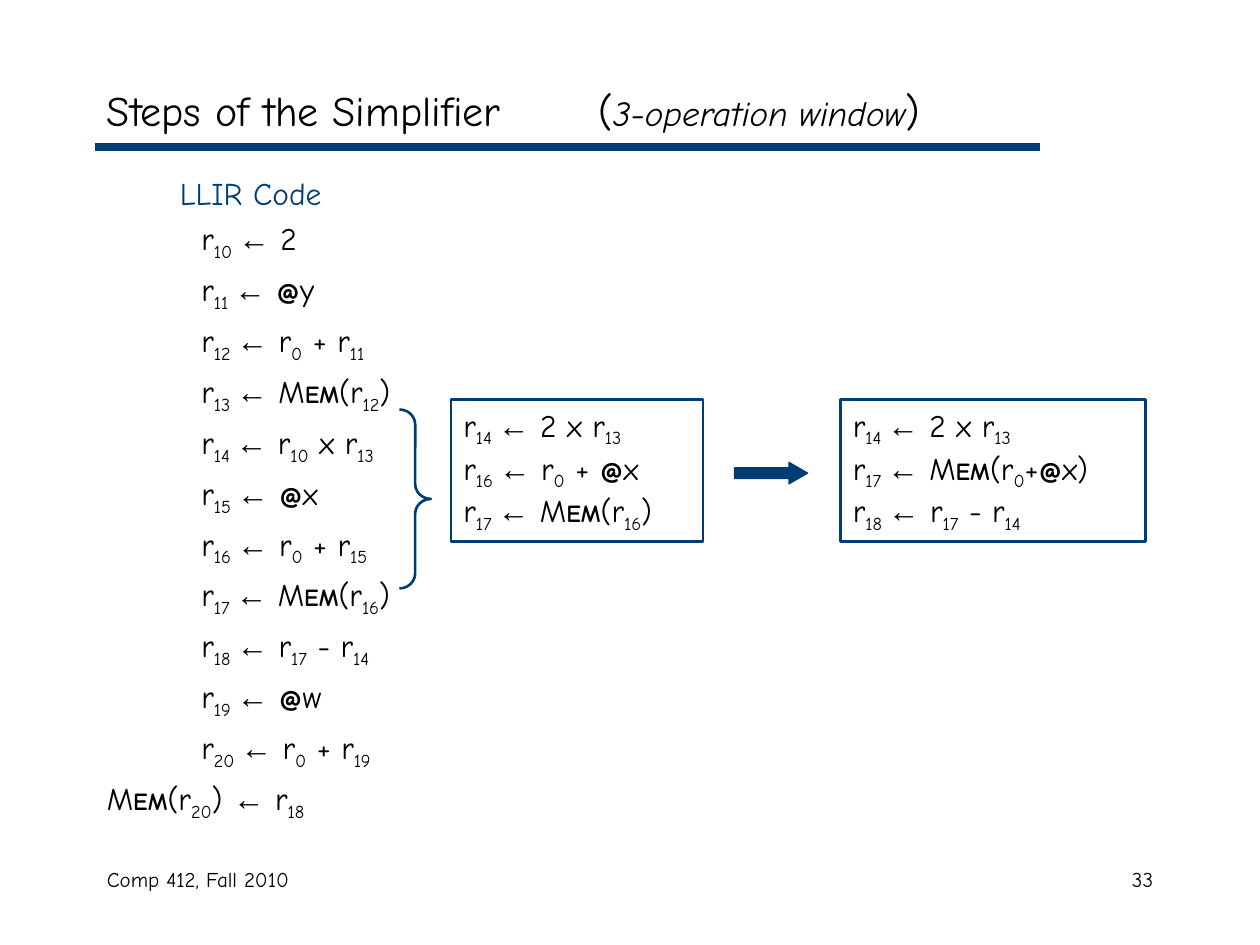
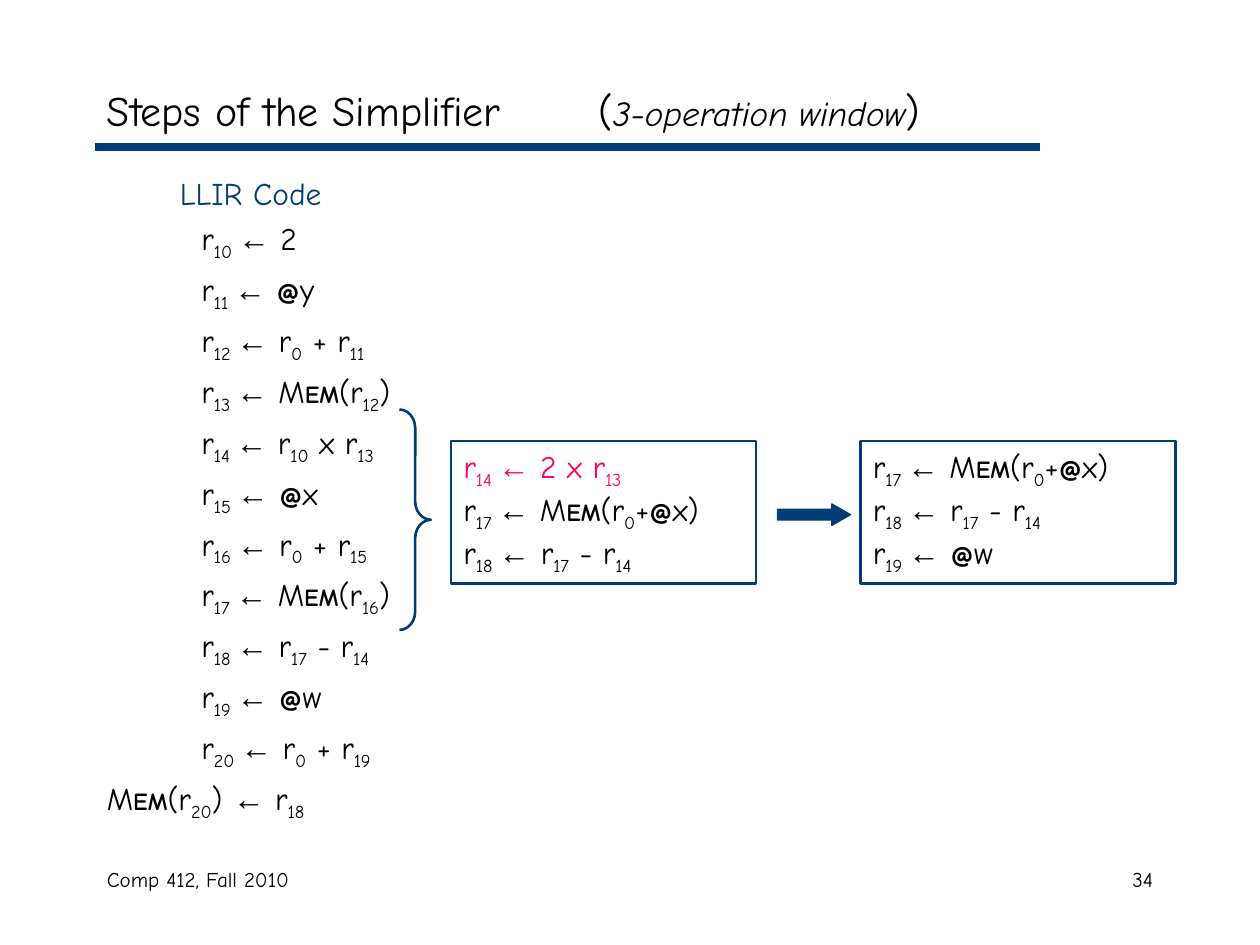
from lxml import etree
from pptx import Presentation
from pptx.dml.color import RGBColor
from pptx.enum import shapes, text
from pptx.oxml import ns
from pptx.util import Inches, Pt

NAVY = RGBColor(0x00, 0x3C, 0x75)
BLACK = RGBColor(0, 0, 0)
PINK = RGBColor(0xFF, 0x00, 0x65)

ADDRESS_X = "M EM(r{0}+@x)".replace(" ", "")
R14 = "r{14 }← 2 x r{13}"
R16 = "r{16 }← r{0} + @x"
R17 = f"r{{17 }}← {ADDRESS_X}"
R17_LOAD = "r{17 }← MEM(r{16})"
R18 = "r{18 }← r{17} - r{14}"
R19 = "r{19 }← @w"
LLIR_CODE = [
    "r{10 }← 2", "r{11 }← @y", "r{12 }← r{0} + r{11}", "r{13 }← MEM(r{12})",
    "r{14 }← r{10} x r{13}", "r{15 }← @x", "r{16 }← r{0} + r{15}",
    R17_LOAD, R18, R19, "r{20 }← r{0} + r{19}", "MEM(r{20}) ← r{18}",
]


class Deck:
    """Holds the shared style and the current slide."""

    def __init__(self):
        self.prs = Presentation()
        self.prs.slide_width, self.prs.slide_height = Inches(10), Inches(7.5)

    def new_slide(self, number):
        """Start a slide with its rule, title and footer."""
        self.s = self.prs.slides.add_slide(self.prs.slide_layouts[6])
        self.rule(0.75, 8.25, 1.17)
        self.title("Steps of the Simplifier", "3-operation window")
        self.footer(0.75, 3.17, "Comp 412, Fall 2010", text.PP_ALIGN.LEFT)
        self.footer(7.17, 2.08, str(number), text.PP_ALIGN.RIGHT)

    def rule(self, left, right, y):
        """Draw the thick line under the title."""
        line = self.s.shapes.add_connector(
            shapes.MSO_CONNECTOR.STRAIGHT,
            Inches(left), Inches(y), Inches(right), Inches(y))
        line.line.color.rgb, line.line.width = NAVY, Pt(4.5)
        etree.SubElement(line._element.spPr, ns.qn("a:effectLst"))

    def text_box(self, left, top, width, height):
        """Add a wrapping text box and return its text frame."""
        sp = self.s.shapes.add_textbox(
            Inches(left), Inches(top), Inches(width), Inches(height))
        sp.text_frame.word_wrap = True
        return sp.text_frame

    def shape(self, kind, left, top, width, height, weight):
        """Add an outlined preset shape without fill."""
        sp = self.s.shapes.add_shape(
            kind, Inches(left), Inches(top), Inches(width), Inches(height))
        sp.shadow.inherit = False
        sp.fill.background()
        sp.line.color.rgb, sp.line.width = NAVY, Pt(weight)
        return sp

    def style(self, p, size=18, color=BLACK):
        """Set the font of a whole paragraph."""
        p.font.name, p.font.size = "Comic Neue", Pt(size)
        p.font.color.rgb = color

    def title(self, name, remark):
        """Write the title with an italic remark at a tab stop."""
        tf = self.text_box(0.75, 0.58, 8.5, 0.58)
        tf.vertical_anchor = text.MSO_ANCHOR.MIDDLE
        p = tf.paragraphs[0]
        tabs = etree.SubElement(p._p.get_or_add_pPr(), ns.qn("a:tabLst"))
        etree.SubElement(tabs, ns.qn("a:tab"), pos=str(Inches(3.9)), algn="l")
        self.style(p, 24)
        p.add_run().text = f"{name}\t("
        r = p.add_run()
        r.text, r.font.size, r.font.italic = remark, Pt(20), True
        p.add_run().text = ")"

    def footer(self, left, width, words, align):
        """Write one footer entry."""
        p = self.text_box(left, 6.83, width, 0.5).paragraphs[0]
        p.text, p.alignment = words, align
        self.style(p, 12)

    def operation(self, p, code, color=BLACK):
        """Write an operation; braces enclose subscripts."""
        self.style(p, color=color)
        code = code.replace("{", "|_").replace("}", "|")
        for token in ("←", "EM", "@"):
            code = code.replace(token, f"|{token}|")
        for part in filter(None, code.split("|")):
            r = p.add_run()
            r.text = part.lstrip("_")
            if part.startswith("_"):
                r._r.get_or_add_rPr().set("baseline", "-25000")
            elif part == "←":
                r.font.name = "Arial"
            elif part in ("EM", "@"):
                r.font.bold = True
                r.font.size = Pt(14 if part == "EM" else 16)

    def listing(self, heading, code):
        """Write the code column under its heading."""
        tf = self.text_box(0.75, 1.33, 2.83, 5.25)
        p = tf.paragraphs[0]
        p.text = heading
        p._p.get_or_add_pPr().set("marL", str(Inches(0.58)))
        self.style(p, color=NAVY)
        for line in code:
            p = tf.add_paragraph()
            p.space_before = Pt(4.5)
            if line.startswith("r"):
                p._p.get_or_add_pPr().set("marL", str(Inches(0.75)))
            self.operation(p, line)

    def brace(self, height):
        """Bracket the operations already processed."""
        width = 0.25
        sp = self.shape(shapes.MSO_SHAPE.RIGHT_BRACE, 3.17, 3.25, width, height, 1.5)
        sp.adjustments[0] = height / 12 / width

    def arrow(self, left, top):
        """Draw the block arrow between two windows."""
        sp = self.shape(shapes.MSO_SHAPE.RIGHT_ARROW, left, top, 0.58, 0.17, 0.75)
        sp.adjustments[1] = 0.87
        sp.fill.solid()
        sp.fill.fore_color.rgb = NAVY

    def window(self, left, top, width, code, first_color=BLACK):
        """Draw a framed window of operations."""
        sp = self.shape(shapes.MSO_SHAPE.RECTANGLE, left, top, width, 1.13, 1.5)
        tf = sp.text_frame
        tf.word_wrap, tf.vertical_anchor = True, text.MSO_ANCHOR.TOP
        for i, line in enumerate(code):
            p = tf.add_paragraph() if i else tf.paragraphs[0]
            p.alignment = text.PP_ALIGN.LEFT
            self.operation(p, line, BLACK if i else first_color)

    def step(self, number, brace_height, top, before, after, arrow_left, first_color=BLACK):
        """Build a slide that moves the window by one step."""
        self.new_slide(number)
        self.brace(brace_height)
        self.arrow(arrow_left, top + 0.5)
        self.window(*after[:1], top, *after[1:])
        self.window(3.58, top, *before, first_color)
        self.listing("LLIR Code", LLIR_CODE)


def main():
    deck = Deck()
    deck.step(33, 1.42, 3.17, (2, [R14, R16, R17_LOAD]),
              (6.67, 2.42, [R14, R17, R18]), 5.83)
    deck.step(34, 1.75, 3.5, (2.42, [R14, R17, R18]),
              (6.83, 2.5, [R17, R18, R19]), 6.17, PINK)
    deck.prs.save("out.pptx")


if __name__ == "__main__":
    main()
